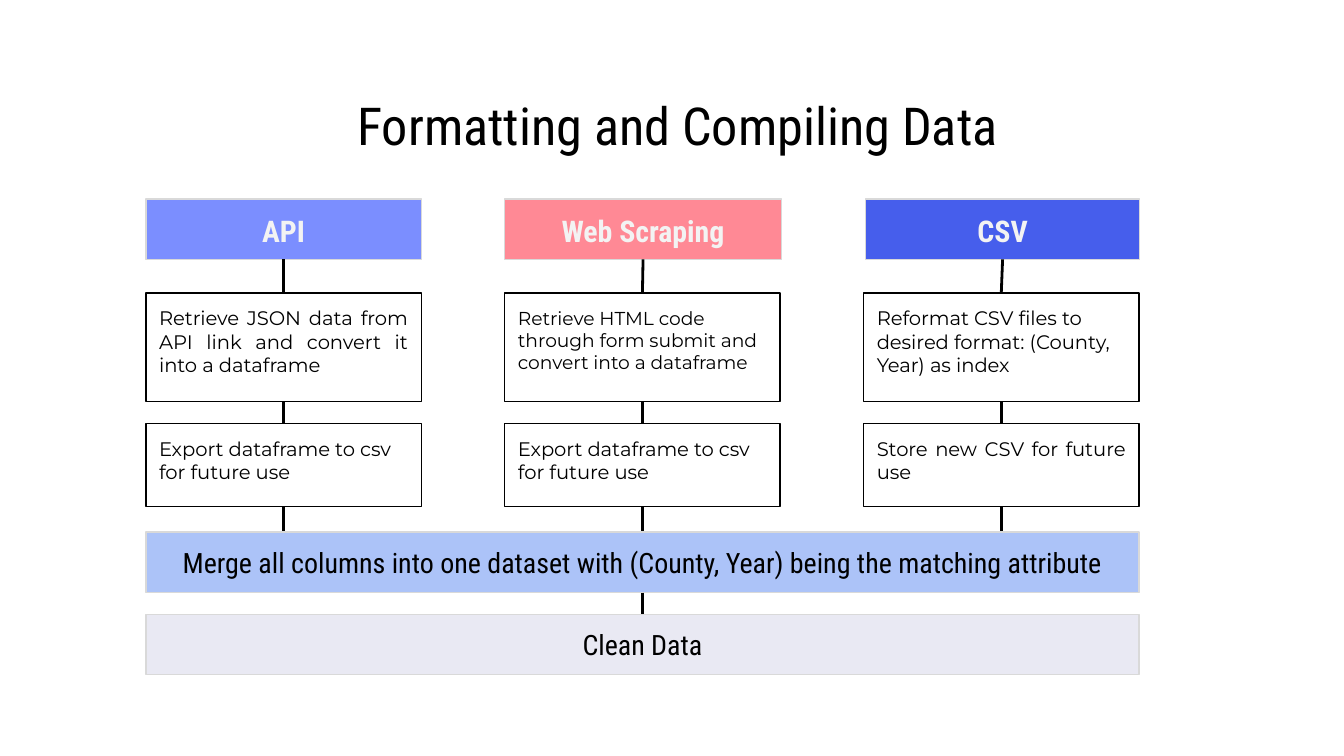
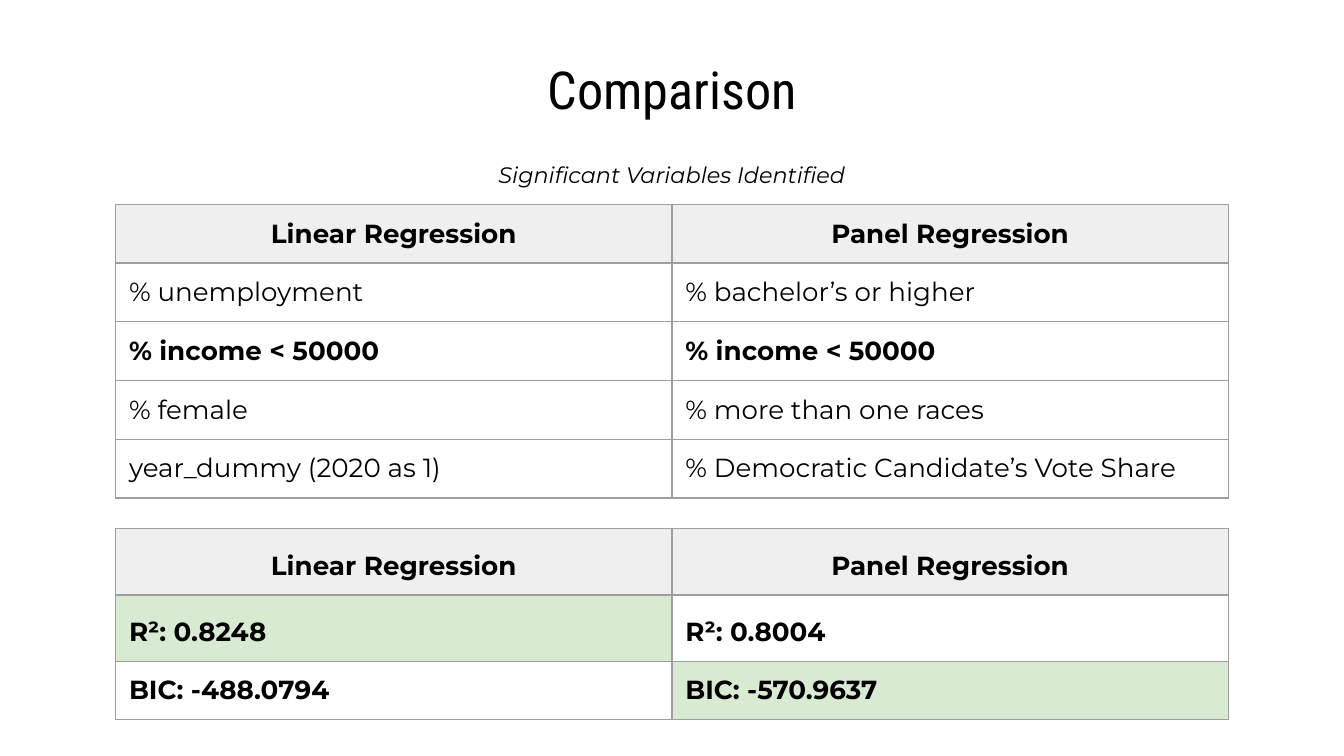
"""Build two slides: a data preparation flow and a comparison of regressions."""
from dataclasses import dataclass
from typing import NamedTuple, Optional

from lxml import etree
from pptx import Presentation
from pptx.dml.color import RGBColor
from pptx.enum.shapes import MSO_CONNECTOR, MSO_SHAPE
from pptx.enum.text import MSO_ANCHOR, PP_ALIGN
from pptx.oxml.ns import qn
from pptx.util import Emu, Pt

RECT = MSO_SHAPE.RECTANGLE
STRAIGHT = MSO_CONNECTOR.STRAIGHT
TOP, MIDDLE = MSO_ANCHOR.TOP, MSO_ANCHOR.MIDDLE
LEFT, CENTER, JUSTIFY = PP_ALIGN.LEFT, PP_ALIGN.CENTER, PP_ALIGN.JUSTIFY
EMU_PER_PX = 4572
SLIDE_W, SLIDE_H = 2000, 1125


@dataclass(frozen=True)
class Theme:
    """Colours, fonts, type sizes and line widths shared by the slides."""
    heading_font: str = "Roboto Condensed"
    body_font: str = "Montserrat"
    black: str = "000000"
    pale: str = "F3F3F3"
    api: str = "7B8EFF"
    scraping: str = "FF8995"
    csv: str = "465EEC"
    merge: str = "ACC3F8"
    clean: str = "E9E9F3"
    bar_line: str = "D9D9D9"
    grid: str = "9E9E9E"
    table_head: str = "EFEFEF"
    winner: str = "D9EAD3"
    title_size: float = 28
    header_size: float = 16
    bar_size: float = 15
    cell_size: float = 14
    caption_size: float = 12
    step_size: float = 10.5
    small_step_size: float = 10
    thin: float = 0.75
    thick: float = 1.5


T = Theme()


class Box(NamedTuple):
    """Left, top, width and height in px."""
    x: int
    y: int
    w: int
    h: int


class Style(NamedTuple):
    """Look of one paragraph."""
    size: float
    font: str = T.body_font
    color: str = T.black
    align: PP_ALIGN = LEFT
    bold: bool = False
    italic: bool = False
    spacing: Optional[float] = None
    after: Optional[float] = None


class Step(NamedTuple):
    """Text of one step in a column."""
    text: str
    align: PP_ALIGN = LEFT
    size: float = T.step_size


class Column(NamedTuple):
    """One data source with its header and steps."""
    name: str
    fill: str
    header_x: int
    header_w: int
    steps: tuple[Step, ...]


class Cell(NamedTuple):
    """Content of one table cell."""
    text: str
    bold: bool = False
    fill: Optional[str] = None
    align: PP_ALIGN = LEFT
    spacing: Optional[float] = None
    after: Optional[float] = None


INSET = 20
FLOW_X, COLUMN_PITCH, STEP_W = 217, 534, 410
HEADER_Y, BAR_H = 296, 90
STEP_ROWS = ((436, 162), (630, 124))
MERGE = Box(FLOW_X, 792, 1478, BAR_H)
CLEAN = Box(FLOW_X, 914, 1478, BAR_H)
TABLE_X, TABLE_COL_W, TABLE_ROW_H = 172, 828, 84

EXPORT = Step("Export dataframe to csv for future use")
COLUMNS = (
    Column("API", T.api, 217, 410, (
        Step("Retrieve JSON data from API link and convert it into a dataframe", JUSTIFY),
        EXPORT)),
    Column("Web Scraping", T.scraping, 751, 412, (
        Step("Retrieve HTML code through form submit and convert into a dataframe",
             size=T.small_step_size),
        EXPORT)),
    Column("CSV", T.csv, 1288, 408, (
        Step("Reformat CSV files to desired format: (County, Year) as index"),
        Step("Store new CSV for future use", JUSTIFY))),
)

MODELS = ("Linear Regression", "Panel Regression")
LOOSE = {"spacing": 1.25, "after": 12}
VARIABLES = [
    [Cell(m, True, T.table_head, CENTER) for m in MODELS],
    [Cell("% unemployment"), Cell("% bachelor’s or higher")],
    [Cell("% income < 50000", True)] * 2,
    [Cell("% female"), Cell("% more than one races")],
    [Cell("year_dummy (2020 as 1)"), Cell("% Democratic Candidate’s Vote Share")],
]
SCORES = [
    [Cell(m, True, T.table_head, CENTER, **LOOSE) for m in MODELS],
    [Cell("R²: 0.8248", True, T.winner, **LOOSE), Cell("R²: 0.8004", True, **LOOSE)],
    [Cell("BIC: -488.0794", True), Cell("BIC: -570.9637", True, T.winner)],
]


def px(n: int) -> Emu:
    """Turn px into EMU."""
    return Emu(n * EMU_PER_PX)


def place(box: Box) -> tuple[Emu, ...]:
    """Turn a box into EMU lengths."""
    return tuple(px(n) for n in box)


def paint(fill, color: Optional[str]) -> None:
    """Fill with a solid colour, or with nothing."""
    if color:
        fill.solid()
        fill.fore_color.rgb = RGBColor.from_string(color)
    else:
        fill.background()


def write(tf, text: str, style: Style) -> None:
    """Write one styled paragraph into a text frame."""
    p = tf.paragraphs[0]
    p.text = text
    p.alignment = style.align
    if style.spacing:
        p.line_spacing = style.spacing
    if style.after:
        p.space_after = Pt(style.after)
    p.font.name = style.font
    p.font.size = Pt(style.size)
    p.font.bold = style.bold
    p.font.italic = style.italic
    p.font.color.rgb = RGBColor.from_string(style.color)


def fill_frame(tf, text: str, style: Style, anchor: MSO_ANCHOR = TOP) -> None:
    """Set wrapping, insets and anchor of a frame and write its text."""
    tf.word_wrap = True
    tf.vertical_anchor = anchor
    tf.margin_left = tf.margin_right = tf.margin_top = tf.margin_bottom = px(INSET)
    write(tf, text, style)


def add_text(s, box: Box, text: str, style: Style, anchor: MSO_ANCHOR = TOP) -> None:
    """Add a text box."""
    fill_frame(s.shapes.add_textbox(*place(box)).text_frame, text, style, anchor)


def add_title(s, x: int, y: int, text: str) -> None:
    """Add the slide title."""
    style = Style(T.title_size, T.heading_font, align=CENTER)
    add_text(s, Box(x, y, 1800, 106), text, style, MIDDLE)


def add_box(s, box: Box, text: str, style: Style,
            fill: Optional[str] = None, line: str = T.black) -> None:
    """Add an outlined rectangle with text."""
    sp = s.shapes.add_shape(RECT, *place(box))
    sp.shadow.inherit = False
    paint(sp.fill, fill)
    sp.line.color.rgb = RGBColor.from_string(line)
    sp.line.width = Pt(T.thin)
    fill_frame(sp.text_frame, text, style)


def add_bar(s, box: Box, text: str, fill: str) -> None:
    """Add a full-width bar."""
    style = Style(T.bar_size, T.heading_font, align=CENTER)
    add_box(s, box, text, style, fill, T.bar_line)


def add_link(s, x1: int, y1: int, x2: int, y2: int) -> None:
    """Add a plain connecting line."""
    c = s.shapes.add_connector(STRAIGHT, px(x1), px(y1), px(x2), px(y2))
    c.line.color.rgb = RGBColor.from_string(T.black)
    c.line.width = Pt(T.thick)
    etree.SubElement(c._element.spPr, qn("a:effectLst"))


def add_column(s, col: Column, left: int) -> None:
    """Add a header, its steps and the links down to the merge bar."""
    header = Box(col.header_x, HEADER_Y, col.header_w, BAR_H)
    style = Style(T.header_size, T.heading_font, T.pale, CENTER, True)
    add_box(s, header, col.name, style, col.fill, T.bar_line)
    mid = left + STEP_W // 2
    x, y = header.x + header.w // 2, header.y + header.h
    for step, (top, height) in zip(col.steps, STEP_ROWS):
        box = Box(left, top, STEP_W, height)
        add_box(s, box, step.text, Style(step.size, align=step.align))
        add_link(s, x, y, mid, top)
        x, y = mid, top + height
    add_link(s, x, y, mid, MERGE.y)


def add_borders(cell) -> None:
    """Draw the four borders of a table cell."""
    tc_pr = cell._tc.get_or_add_tcPr()
    for side in ("lnL", "lnR", "lnT", "lnB"):
        ln = etree.SubElement(tc_pr, qn(f"a:{side}"), w=str(Pt(T.thin)))
        solid = etree.SubElement(ln, qn("a:solidFill"))
        etree.SubElement(solid, qn("a:srgbClr"), val=T.grid)


def add_grid(s, y: int, rows: list[list[Cell]]) -> None:
    """Add a bordered table with equal columns."""
    n = len(rows[0])
    box = Box(TABLE_X, y, n * TABLE_COL_W, len(rows) * TABLE_ROW_H)
    table = s.shapes.add_table(len(rows), n, *place(box)).table
    table.first_row = table.horz_banding = False
    for r, row in enumerate(rows):
        for c, item in enumerate(row):
            cell = table.cell(r, c)
            cell.margin_left = cell.margin_right = px(INSET)
            cell.margin_top = cell.margin_bottom = px(INSET)
            add_borders(cell)
            paint(cell.fill, item.fill)
            write(cell.text_frame, item.text,
                  Style(T.cell_size, align=item.align, bold=item.bold,
                        spacing=item.spacing, after=item.after))


def build_flow(s) -> None:
    """Build the data preparation flow."""
    for i, col in enumerate(COLUMNS):
        add_column(s, col, FLOW_X + i * COLUMN_PITCH)
    add_bar(s, MERGE, "Merge all columns into one dataset with (County, Year) "
            "being the matching attribute", T.merge)
    add_title(s, 108, 132, "Formatting and Compiling Data")
    add_bar(s, CLEAN, "Clean Data", T.clean)
    mid = MERGE.x + MERGE.w // 2
    add_link(s, mid, MERGE.y + MERGE.h, mid, CLEAN.y)


def build_comparison(s) -> None:
    """Build the comparison of the two regressions."""
    add_grid(s, 304, VARIABLES)
    add_title(s, 100, 79, "Comparison")
    add_grid(s, 787, SCORES)
    add_text(s, Box(672, 214, 656, 80), "Significant Variables Identified",
             Style(T.caption_size, align=CENTER, italic=True, spacing=1.15, after=16))


def main() -> None:
    """Build and save the presentation."""
    prs = Presentation()
    prs.slide_width, prs.slide_height = px(SLIDE_W), px(SLIDE_H)
    for build in (build_flow, build_comparison):
        build(prs.slides.add_slide(prs.slide_layouts[6]))
    prs.save("out.pptx")


if __name__ == "__main__":
    main()
